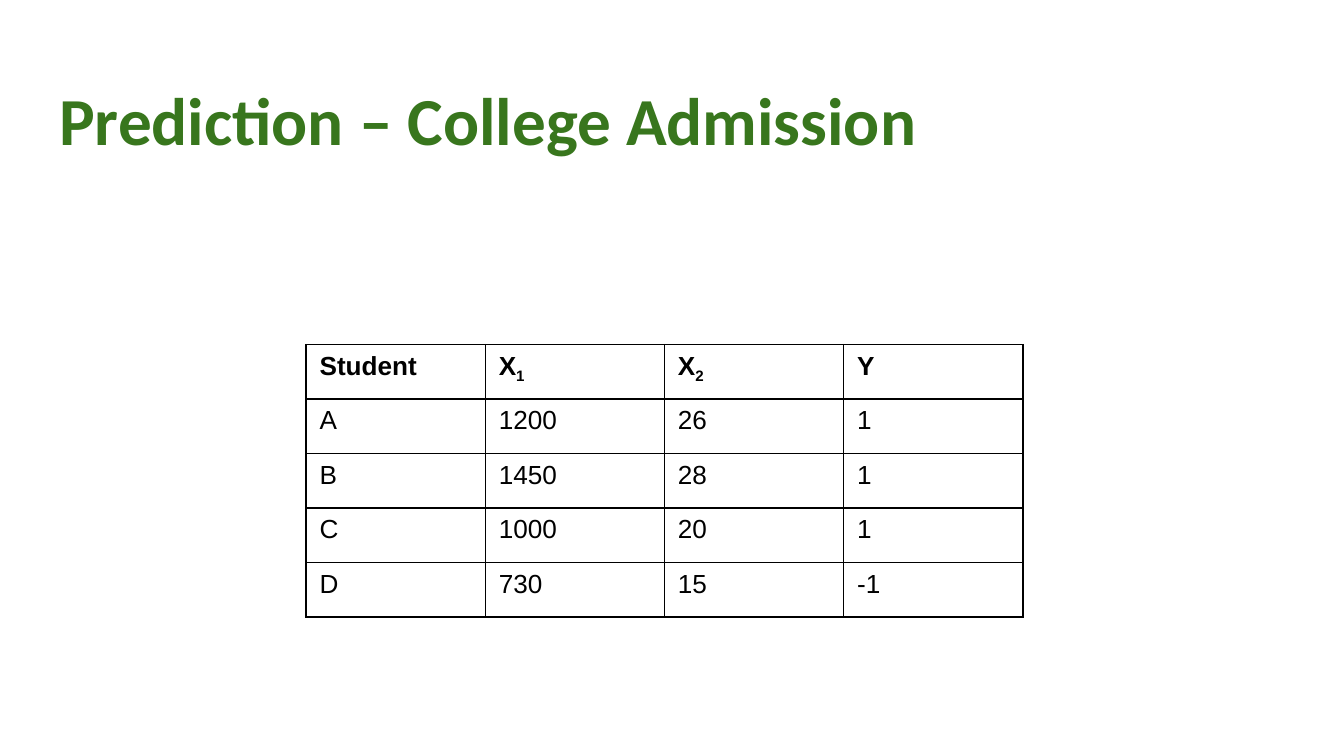
from typing import NamedTuple

from lxml.etree import SubElement
from pptx import Presentation
from pptx.dml.color import RGBColor
from pptx.enum.text import MSO_ANCHOR, PP_ALIGN
from pptx.oxml.ns import qn
from pptx.util import Pt

GREEN, BLACK, WHITE = "38761D", "000000", "FFFFFF"
COLUMN_WIDTH, ROW_HEIGHT = 96, 29.2


class Label(NamedTuple):
    text: str
    subscript: str = ""


class Student(NamedTuple):
    name: str
    x1: str
    x2: str
    y: str


HEADINGS = [Label("Student"), Label("X", "1"), Label("X", "2"), Label("Y")]
STUDENTS = [
    Student("A", "1200", "26", "1"),
    Student("B", "1450", "28", "1"),
    Student("C", "1000", "20", "1"),
    Student("D", "730", "15", "-1"),
]


def rgb(color: str) -> RGBColor:
    return RGBColor.from_string(color)


def add_run(paragraph, text: str, font: str, size: float, color: str, bold: bool):
    run = paragraph.add_run()
    run.text = text
    formats = {"name": font, "size": Pt(size), "bold": bold}
    for attribute, value in formats.items():
        setattr(run.font, attribute, value)
    run.font.color.rgb = rgb(color)
    return run


def add_borders(cell, color: str, width: float) -> None:
    properties = cell._tc.get_or_add_tcPr()
    for position, side in enumerate(("lnL", "lnR", "lnT", "lnB")):
        line = SubElement(properties, qn(f"a:{side}"), w=str(Pt(width)))
        fill = SubElement(line, qn("a:solidFill"))
        SubElement(fill, qn("a:srgbClr"), val=color)
        properties.insert(position, line)  # borders come before the cell fill


def fill_cell(cell, label: Label, bold: bool) -> None:
    cell.fill.solid()
    cell.fill.fore_color.rgb = rgb(WHITE)
    add_borders(cell, BLACK, 1)
    paragraph = cell.text_frame.paragraphs[0]
    add_run(paragraph, label.text, "Arial", 14, BLACK, bold)
    if label.subscript:
        index = add_run(paragraph, label.subscript, "Arial", 14, BLACK, bold)
        index.font._element.set("baseline", "-25000")


def add_title(slide, text: str) -> None:
    title = slide.shapes.title
    place = {"left": 24.5, "top": 35, "width": 671, "height": 45.1}
    for attribute, value in place.items():
        setattr(title, attribute, Pt(value))
    frame = title.text_frame
    for side in ("left", "right", "top", "bottom"):
        setattr(frame, f"margin_{side}", Pt(7.2))
    frame.vertical_anchor = MSO_ANCHOR.TOP
    heading = frame.paragraphs[0]
    heading.alignment = PP_ALIGN.LEFT
    add_run(heading, text, "Calibri", 36, GREEN, True)


def add_admissions(slide, left: float, top: float) -> None:
    rows = [HEADINGS] + [[Label(value) for value in student] for student in STUDENTS]
    admissions = slide.shapes.add_table(
        len(rows), len(HEADINGS), Pt(left), Pt(top),
        Pt(COLUMN_WIDTH * len(HEADINGS)), Pt(ROW_HEIGHT * len(rows)),
    ).table
    admissions.horz_banding = False
    for column in admissions.columns:
        column.width = Pt(COLUMN_WIDTH)
    for row_number, labels in enumerate(rows):
        admissions.rows[row_number].height = Pt(ROW_HEIGHT)
        for column_number, label in enumerate(labels):
            fill_cell(admissions.cell(row_number, column_number), label, row_number == 0)


def main() -> None:
    deck = Presentation()
    deck.slide_width, deck.slide_height = Pt(720), Pt(405)
    slide = deck.slides.add_slide(deck.slide_layouts[5])  # title only

    # Title
    add_title(slide, "Prediction – College Admission")

    # Student table
    add_admissions(slide, left=164, top=184.6)

    deck.save("out.pptx")


if __name__ == "__main__":
    main()
